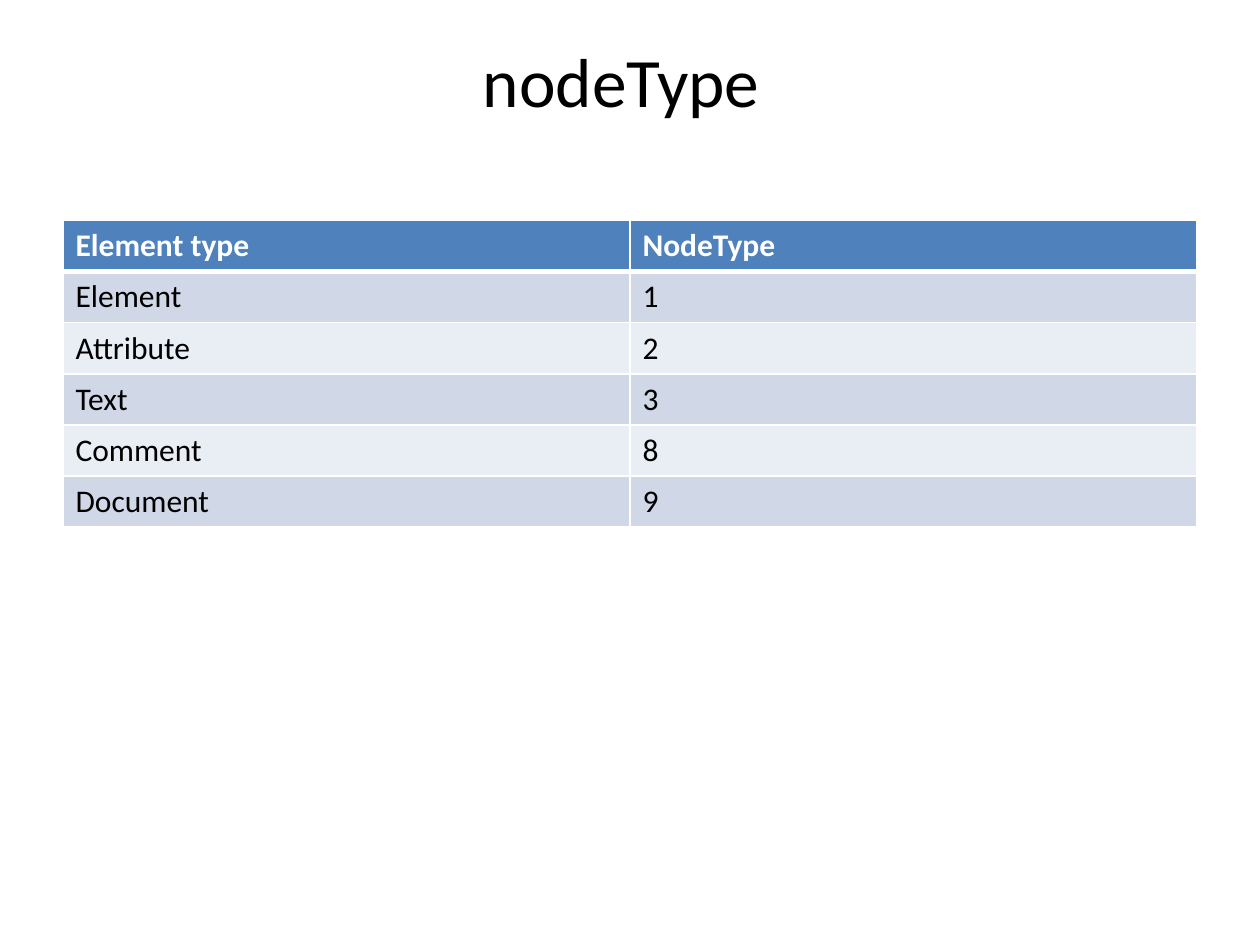
from lxml import etree
from pptx import Presentation
from pptx import util as u
from pptx.dml.color import RGBColor
from pptx.enum import text
from pptx.oxml.ns import qn

BLACK = RGBColor(0x00, 0x00, 0x00)
WHITE = RGBColor(0xFF, 0xFF, 0xFF)
HEADER_BLUE = RGBColor(0x4F, 0x81, 0xBD)
BANDS = (RGBColor(0xD0, 0xD8, 0xE8), RGBColor(0xE9, 0xED, 0xF4))
FONT = "Calibri"

NODE_TYPES = (
    ("Element type", "NodeType"),
    ("Element", "1"),
    ("Attribute", "2"),
    ("Text", "3"),
    ("Comment", "8"),
    ("Document", "9"),
)


def write(frame, wording, size=18, color=BLACK, bold=False,
          align=text.PP_ALIGN.LEFT):
    """Put one formatted paragraph in a text frame."""
    paragraph = frame.paragraphs[0]
    paragraph.alignment = align
    run = paragraph.add_run()
    run.text = wording
    run.font.name = FONT
    run.font.size = u.Pt(size)
    run.font.bold = bold
    run.font.color.rgb = color


def set_borders(cell, bottom):
    """Draw white borders, with a bottom width of its own in points."""
    properties = cell._tc.get_or_add_tcPr()
    widths = {"a:lnL": 1, "a:lnR": 1, "a:lnT": 1, "a:lnB": bottom}
    for position, (side, width) in enumerate(widths.items()):
        border = etree.Element(qn(side), w=str(u.Pt(width)))
        fill = etree.SubElement(border, qn("a:solidFill"))
        etree.SubElement(fill, qn("a:srgbClr"), val=str(WHITE))
        properties.insert(position, border)


def place_title(slide, left, top, width, height):
    """Place the heading at the top of its box."""
    title = slide.shapes.title
    title.left, title.top, title.width, title.height = left, top, width, height
    frame = title.text_frame
    frame.vertical_anchor = text.MSO_ANCHOR.TOP
    frame.margin_top = 0
    frame.margin_right = u.Inches(0.24)
    write(frame, "nodeType", size=39.6, align=text.PP_ALIGN.CENTER)


def place_node_table(slide, left, top, width, height):
    """Place the banded table of element types."""
    table = slide.shapes.add_table(
        len(NODE_TYPES), len(NODE_TYPES[0]), left, top, width, height).table
    for row, entries in enumerate(NODE_TYPES):
        header = row == 0
        for column, entry in enumerate(entries):
            cell = table.cell(row, column)
            cell.fill.solid()
            cell.fill.fore_color.rgb = (
                HEADER_BLUE if header else BANDS[(row - 1) % 2])
            set_borders(cell, bottom=3 if row < 1 else 1)
            write(cell.text_frame, entry, bold=header,
                  color=WHITE if header else BLACK)


def main():
    """Build and save the slide."""
    deck = Presentation()
    deck.slide_width, deck.slide_height = u.Inches(10), u.Inches(7.5)
    slide = deck.slides.add_slide(deck.slide_layouts[5])
    margin = u.Inches(0.5)
    width = deck.slide_width - 2 * margin
    place_title(slide, margin, u.Inches(0.3), width, u.Inches(1.25))
    place_node_table(slide, margin, u.Inches(1.75), width, u.Inches(2.43))
    deck.save("out.pptx")


if __name__ == "__main__":
    main()
